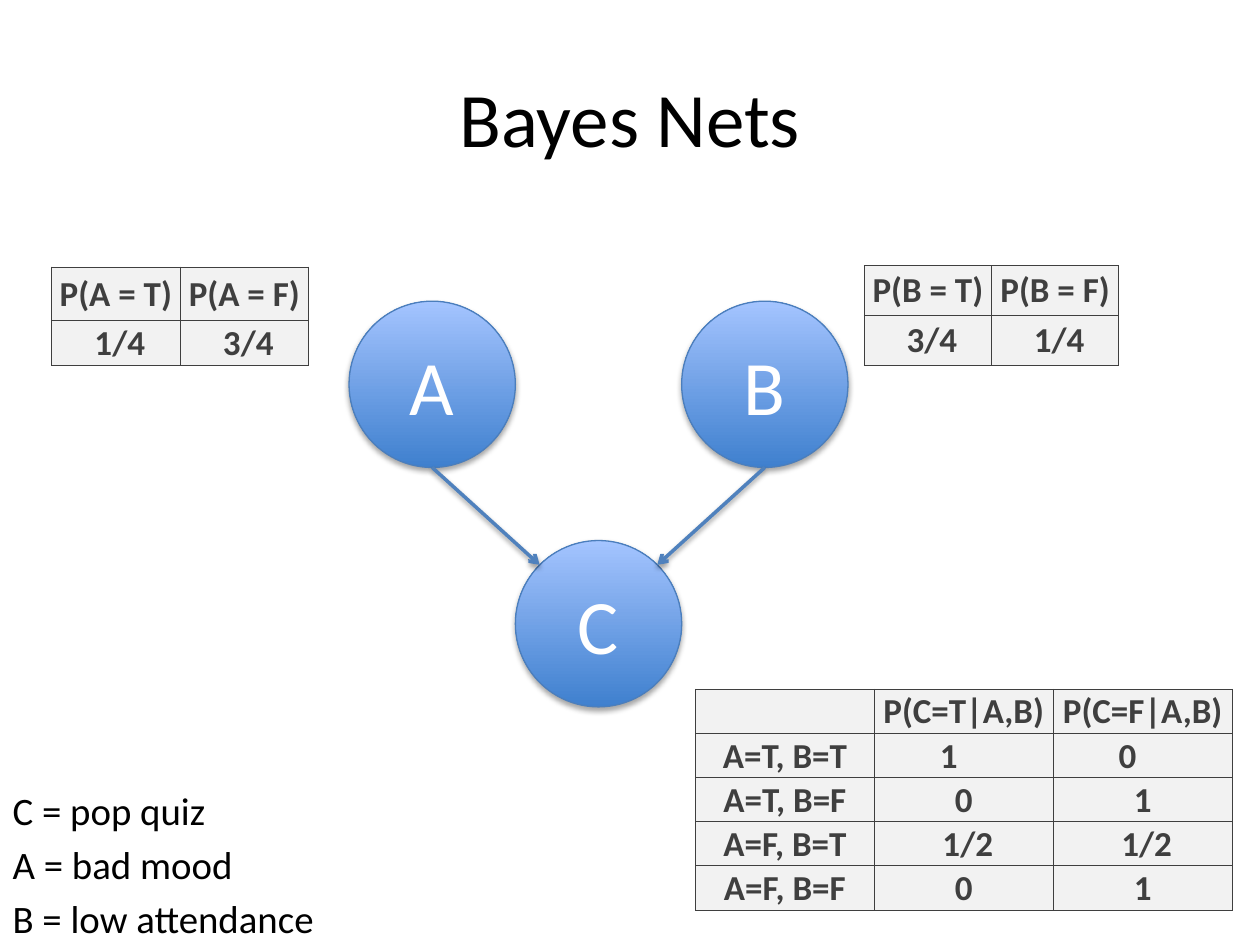
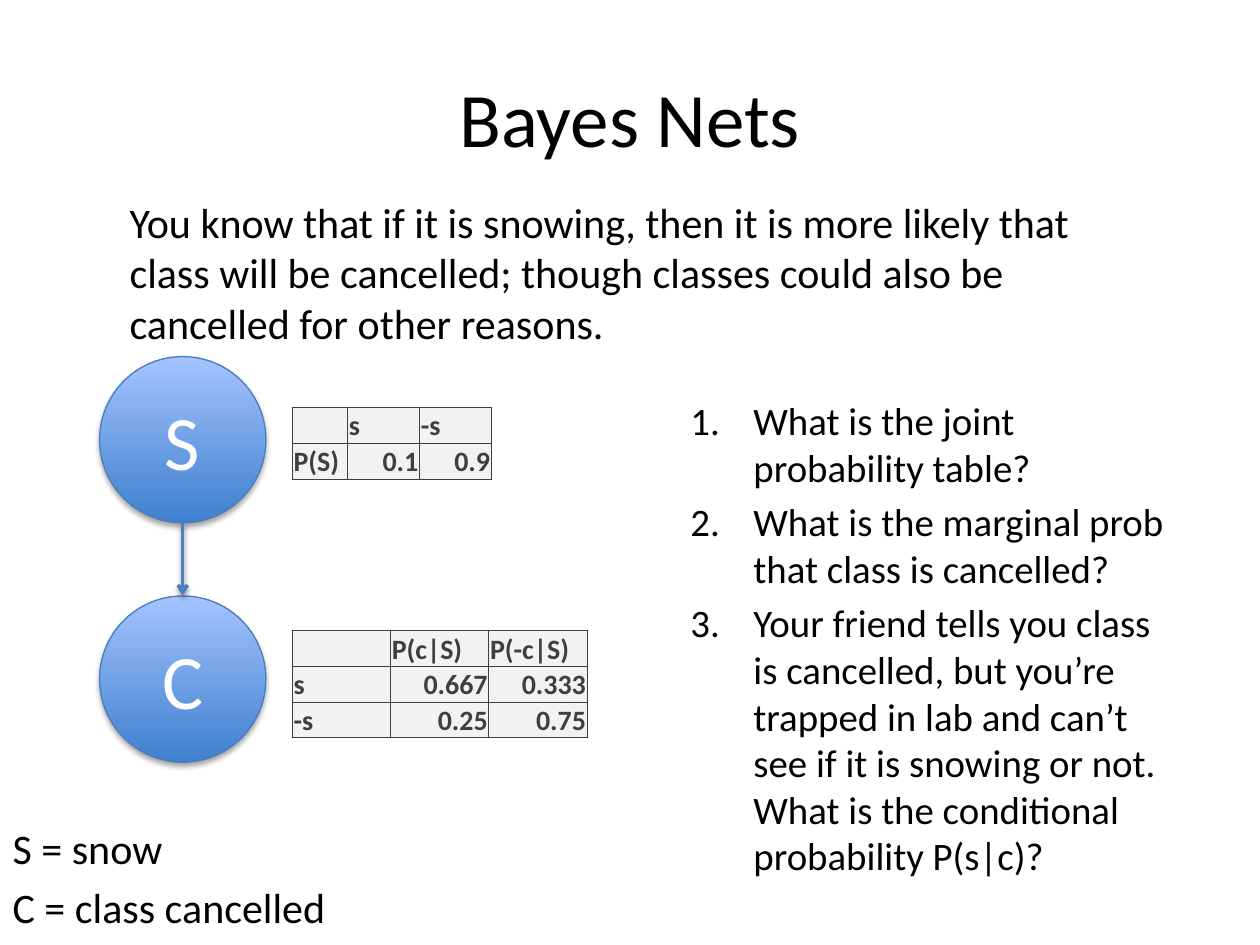
from math import cos, radians, sin

from lxml.etree import SubElement
from pptx import Presentation
from pptx.dml.color import RGBColor
from pptx.enum.shapes import MSO_CONNECTOR as Connector, MSO_SHAPE as Shape
from pptx.enum.text import MSO_ANCHOR as Anchor, MSO_AUTO_SIZE as AutoSize, PP_ALIGN as Align
from pptx.oxml import parse_xml
from pptx.oxml.ns import nsdecls, qn
from pptx.util import Inches, Pt

FONT = "Calibri"
BLACK, WHITE, TABLE_INK, TABLE_FILL = "000000", "FFFFFF", "3F3F3F", "F2F2F2"
NODE_DARK, NODE_LIGHT, NODE_EDGE, ARROW = "3F80CE", "A4C4FF", "4B7EBC", "4F81BD"
TITLE = "Bayes Nets"
DIAMETER = 1.32
LEVEL_DROP = 1.9  # between the centres of a parent and its child
PARENT_SPREAD = 1.32  # from a child's centre to each parent's, sideways

# Connection sites of an ellipse, numbered every 45 degrees from the top, anticlockwise
TOP, TOP_LEFT, BOTTOM, TOP_RIGHT = 0, 1, 4, 7
TITLE_AND_CONTENT, TWO_CONTENT = 1, 3

QUIZ_X, QUIZ_Y = 4.75, 3.05
SNOW_X, SNOW_Y = 1.45, 3.49
LARGE_TABLE = dict(size=20, anchor=Anchor.MIDDLE, centred=True)
SMALL_TABLE = dict(size=16, anchor=Anchor.BOTTOM, centred=False)

SLIDES = [
    dict(
        layout=TITLE_AND_CONTENT,
        nodes={"A": (QUIZ_X - PARENT_SPREAD, QUIZ_Y),
               "B": (QUIZ_X + PARENT_SPREAD, QUIZ_Y),
               "C": (QUIZ_X, QUIZ_Y + LEVEL_DROP)},
        edges=[("A", "C", TOP_LEFT), ("B", "C", TOP_RIGHT)],
        lists=[dict(lines=["C = pop quiz", "A = bad mood", "B = low attendance"],
                    box=(0, 6.19, 2.84, 1.33), size=22.2)],
        tables=[
            dict(rows=[["P(A = T)", "P(A = F)"], [" 1/4", " 3/4"]],
                 at=(0.41, 2.12), widths=[1.02] * 2, heights=[0.42, 0.36], **LARGE_TABLE),
            dict(rows=[["P(B = T)", "P(B = F)"], [" 3/4", " 1/4"]],
                 at=(6.86, 2.11), widths=[1.01] * 2, heights=[0.39, 0.4], **LARGE_TABLE),
            dict(rows=[["", "P(C=T|A,B)", "P(C=F|A,B)"],
                       ["A=T, B=T", "1", "0"],
                       ["A=T, B=F", "0", "1"],
                       ["A=F, B=T", " 1/2", " 1/2"],
                       ["A=F, B=F", "0", "1"]],
                 at=(5.52, 5.47), widths=[1.42] * 3, heights=[0.35] * 5,
                 shifted_left={(1, 1), (1, 2)}, **LARGE_TABLE),
        ],
    ),
    dict(
        layout=TWO_CONTENT,
        nodes={"S": (SNOW_X, SNOW_Y), "C": (SNOW_X, SNOW_Y + LEVEL_DROP)},
        edges=[("S", "C", TOP)],
        lists=[
            dict(lines=["S = snow", "C = class cancelled"],
                 box=(0, 6.48, 2.84, 1.04), size=24),
            dict(lines=["What is the joint probability table?",
                        "What is the marginal prob that class is cancelled?",
                        "Your friend tells you class is cancelled, but you’re trapped in lab "
                        "and can’t see if it is snowing or not. What is the conditional "
                        "probability P(s|c)?"],
                 box=(5.38, 3.1, 4, 3.77), size=22.2, numbered=True),
        ],
        tables=[
            dict(rows=[["", "s", "-s"], ["P(S)", "0.1", "0.9"]],
                 at=(2.32, 3.23), widths=[0.44, 0.57, 0.57], heights=[0.28] * 2,
                 **SMALL_TABLE),
            dict(rows=[["", "P(c|S)", "P(-c|S)"],
                       ["s", "0.667", "0.333"],
                       ["-s", "0.25", "0.75"]],
                 at=(2.32, 5), widths=[0.78] * 3, heights=[0.28] * 3, **SMALL_TABLE),
        ],
        intro=dict(text="You know that if it is snowing, then it is more likely that class "
                        "will be cancelled; though classes could also be cancelled for "
                        "other reasons.",
                   box=(0.93, 1.51, 8.06, 1.28)),
    ),
]


def colour(value):
    return RGBColor.from_string(value)


def inches(values):
    return [Inches(value) for value in values]


def write(frame, lines, size, ink=BLACK, bold=False, align=None, spaced=False):
    """Fill a text frame with one paragraph per line, all in one format."""
    frame.word_wrap = True
    for index, line in enumerate(lines):
        paragraph = frame.add_paragraph() if index else frame.paragraphs[0]
        paragraph.alignment = align
        if spaced:
            paragraph.space_before = Pt(0.2 * size)
        run = paragraph.add_run()
        run.text = line
        font = run.font
        font.name, font.size, font.bold = FONT, Pt(size), bold
        font.color.rgb = colour(ink)


def add_shadow(shape, alpha, distance):
    shape._element.spPr.append(parse_xml(
        f'<a:effectLst {nsdecls("a")}><a:outerShdw blurRad="{Pt(3.1)}" dist="{Pt(distance)}" '
        f'dir="5400000" rotWithShape="0"><a:srgbClr val="{BLACK}">'
        f'<a:alpha val="{alpha * 1000}"/></a:srgbClr></a:outerShdw></a:effectLst>'))


def add_node(slide, name, centre):
    left, top = (value - DIAMETER / 2 for value in centre)
    node = slide.shapes.add_shape(Shape.OVAL, *inches((left, top, DIAMETER, DIAMETER)))
    node.fill.gradient()
    node.fill.gradient_angle = 90
    for stop, position, value in zip(node.fill.gradient_stops, (0, 1), (NODE_DARK, NODE_LIGHT)):
        stop.position, stop.color.rgb = position, colour(value)
    node.line.color.rgb = colour(NODE_EDGE)
    node.line.width = Pt(0.75)
    add_shadow(node, alpha=35, distance=1.8)
    node.text_frame.vertical_anchor = Anchor.MIDDLE
    write(node.text_frame, [name], 44, ink=WHITE, align=Align.CENTER)
    return node


def site_point(centre, site):
    angle = radians(45 * site)
    radius = DIAMETER / 2
    return inches((centre[0] - radius * sin(angle), centre[1] - radius * cos(angle)))


def add_edge(slide, parent, child, parent_centre, child_centre, child_site):
    """Draw an arrow from the parent's bottom to a site of the child, glued to both."""
    edge = slide.shapes.add_connector(Connector.STRAIGHT, *site_point(parent_centre, BOTTOM),
                                      *site_point(child_centre, child_site))
    edge.line.color.rgb = colour(ARROW)
    edge.line.width = Pt(2)
    SubElement(edge.line._get_or_add_ln(), qn("a:tailEnd"), type="arrow")
    add_shadow(edge, alpha=38, distance=1.6)
    links = edge._element.nvCxnSpPr.cNvCxnSpPr
    for tag, node, site in (("a:stCxn", parent, BOTTOM), ("a:endCxn", child, child_site)):
        SubElement(links, qn(tag), id=str(node.shape_id), idx=str(site))


def fill_list(placeholder, lines, box, size, numbered=False):
    placeholder.left, placeholder.top, placeholder.width, placeholder.height = inches(box)
    frame = placeholder.text_frame
    frame.auto_size = AutoSize.NONE
    write(frame, lines, size, spaced=True)
    indent = Inches(0.5) if numbered else 0
    for paragraph in frame.paragraphs:
        properties = paragraph._p.get_or_add_pPr()
        properties.set("marL", str(indent))
        properties.set("indent", str(-indent))
        if numbered:
            SubElement(properties, qn("a:buFont"), typeface="+mj-lt")
            SubElement(properties, qn("a:buAutoNum"), type="arabicPeriod")
        else:
            SubElement(properties, qn("a:buNone"))


def add_borders(cell):
    properties = cell._tc.get_or_add_tcPr()
    for index, side in enumerate("LRTB"):
        properties.insert(index, parse_xml(
            f'<a:ln{side} {nsdecls("a")} w="{Pt(0.5)}"><a:solidFill>'
            f'<a:srgbClr val="{TABLE_INK}"/></a:solidFill></a:ln{side}>'))


def add_table(slide, rows, at, widths, heights, size, anchor, centred, shifted_left=()):
    table = slide.shapes.add_table(len(rows), len(widths), *inches(at),
                                   *inches((sum(widths), sum(heights)))).table
    table.first_row = table.horz_banding = False
    for column, width in zip(table.columns, widths):
        column.width = Inches(width)
    for r, (row, height) in enumerate(zip(rows, heights)):
        table.rows[r].height = Inches(height)
        for c, text in enumerate(row):
            cell = table.cell(r, c)
            cell.fill.solid()
            cell.fill.fore_color.rgb = colour(TABLE_FILL)
            cell.vertical_anchor = anchor
            cell.margin_left = cell.margin_top = Inches(0.01)
            cell.margin_right = Inches(0.25 if (r, c) in shifted_left else 0.01)
            cell.margin_bottom = 0
            is_value = r > 0 and c > 0
            align = Align.CENTER if centred else Align.RIGHT if is_value else Align.LEFT
            write(cell.text_frame, [text], size, ink=TABLE_INK, bold=True, align=align)
            add_borders(cell)


def build_slide(presentation, layout, nodes, edges, lists, tables, intro=None):
    slide = presentation.slides.add_slide(presentation.slide_layouts[layout])
    write(slide.shapes.title.text_frame, [TITLE], 44, align=Align.CENTER)
    drawn = {name: add_node(slide, name, centre) for name, centre in nodes.items()}
    for parent, child, site in edges:
        add_edge(slide, drawn[parent], drawn[child], nodes[parent], nodes[child], site)
    for index, content in enumerate(lists, start=1):
        fill_list(slide.placeholders[index], **content)
    for content in tables:
        add_table(slide, **content)
    if intro:
        box = slide.shapes.add_textbox(*inches(intro["box"]))
        write(box.text_frame, [intro["text"]], 24, spaced=True)


def main():
    presentation = Presentation()
    presentation.slide_width, presentation.slide_height = inches((10, 7.5))
    for content in SLIDES:
        build_slide(presentation, **content)
    presentation.save("out.pptx")


if __name__ == "__main__":
    main()
